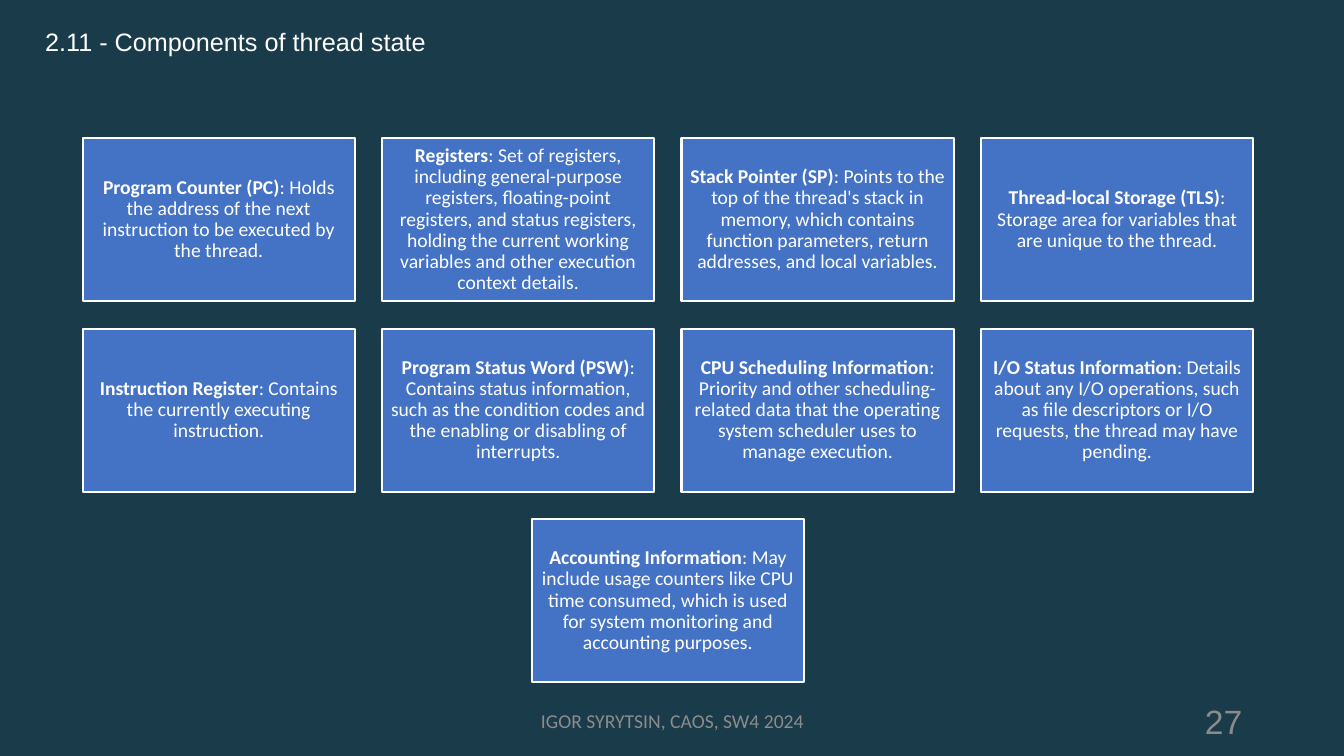
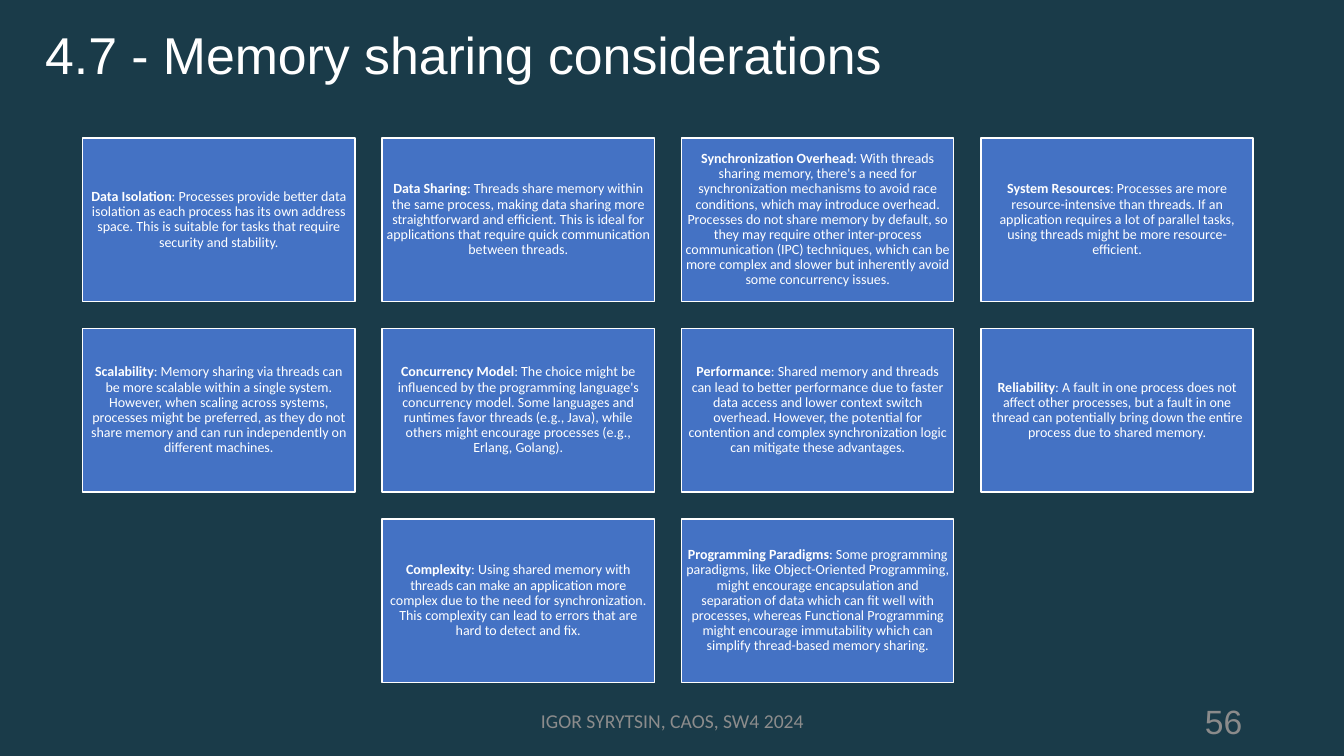
"""Build two slides of centred card grids on thread state and memory sharing."""

from dataclasses import dataclass
from typing import NamedTuple

import pptx
import pptx.dml.color
import pptx.enum.shapes
import pptx.enum.text
import pptx.presentation
import pptx.slide
import pptx.text.text
import pptx.util

Inches = pptx.util.Inches
Pt = pptx.util.Pt
RGBColor = pptx.dml.color.RGBColor
PP_ALIGN = pptx.enum.text.PP_ALIGN
MSO_ANCHOR = pptx.enum.text.MSO_ANCHOR

NAVY = RGBColor(0x1A, 0x3B, 0x49)
BLUE = RGBColor(0x44, 0x72, 0xC4)
WHITE = RGBColor(0xFF, 0xFF, 0xFF)
NUMBER_GREY = RGBColor(0x8B, 0x8B, 0x8B)
FOOTER_GREY = RGBColor(0x8C, 0x8C, 0x8C)

HEAD_FONT = "Arial"
BODY_FONT = "Calibri"
FOOTER = "IGOR SYRYTSIN, CAOS, SW4 2024"

COLUMNS = 4
CARD_W = 2.7
CARD_H = 1.62
GAP = 0.27
GRID_LEFT = 0.82
GRID_TOP = 1.37
LINE_SPACING = 0.9


class Card(NamedTuple):
    term: str
    detail: str


class Box(NamedTuple):
    left: float
    top: float
    width: float
    height: float


class TextStyle(NamedTuple):
    font: str
    size: float
    color: RGBColor
    align: PP_ALIGN = PP_ALIGN.LEFT
    anchor: MSO_ANCHOR = MSO_ANCHOR.MIDDLE
    spacing: float = 1.0


@dataclass(frozen=True)
class GridSlide:
    title: str
    title_size: float
    number: int
    card_size: float
    card_inset: float
    card_line: float
    cards: list[Card]


TITLE_BOX = Box(0.35, 0.25, 11.5, 0.68)
NUMBER_BOX = Box(9.42, 6.95, 3, 0.4)
FOOTER_BOX = Box(4.42, 6.95, 4.5, 0.4)
NUMBER_STYLE = TextStyle(HEAD_FONT, 24, NUMBER_GREY, PP_ALIGN.RIGHT)
FOOTER_STYLE = TextStyle(BODY_FONT, 14, FOOTER_GREY, PP_ALIGN.CENTER)

SLIDES = [
    GridSlide("2.11 - Components of thread state", 18, 27, 14, 0.06, 1.5, [
        Card("Program Counter (PC)",
             ": Holds the address of the next instruction to be executed by the thread."),
        Card("Registers",
             ": Set of registers, including general-purpose registers, floating-point registers, "
             "and status registers, holding the current working variables and other execution "
             "context details."),
        Card("Stack Pointer (SP)",
             ": Points to the top of the thread's stack in memory, which contains function "
             "parameters, return addresses, and local variables."),
        Card("Thread-local Storage (TLS)",
             ": Storage area for variables that are unique to the thread."),
        Card("Instruction Register",
             ": Contains the currently executing instruction."),
        Card("Program Status Word (PSW)",
             ": Contains status information, such as the condition codes and the enabling or "
             "disabling of interrupts."),
        Card("CPU Scheduling Information",
             ": Priority and other scheduling-related data that the operating system scheduler "
             "uses to manage execution."),
        Card("I/O Status Information",
             ": Details about any I/O operations, such as file descriptors or I/O requests, the "
             "thread may have pending."),
        Card("Accounting Information",
             ": May include usage counters like CPU time consumed, which is used for system "
             "monitoring and accounting purposes."),
    ]),
    GridSlide("4.7 - Memory sharing considerations", 37, 56, 10, 0.04, 1, [
        Card("Data Isolation",
             ": Processes provide better data isolation as each process has its own address "
             "space. This is suitable for tasks that require security and stability."),
        Card("Data Sharing",
             ": Threads share memory within the same process, making data sharing more "
             "straightforward and efficient. This is ideal for applications that require quick "
             "communication between threads."),
        Card("Synchronization Overhead",
             ": With threads sharing memory, there's a need for synchronization mechanisms to "
             "avoid race conditions, which may introduce overhead. Processes do not share memory "
             "by default, so they may require other inter-process communication (IPC) techniques, "
             "which can be more complex and slower but inherently avoid some concurrency issues."),
        Card("System Resources",
             ": Processes are more resource-intensive than threads. If an application requires a "
             "lot of parallel tasks, using threads might be more resource-efficient."),
        Card("Scalability",
             ": Memory sharing via threads can be more scalable within a single system. However, "
             "when scaling across systems, processes might be preferred, as they do not share "
             "memory and can run independently on different machines."),
        Card("Concurrency Model",
             ": The choice might be influenced by the programming language's concurrency model. "
             "Some languages and runtimes favor threads (e.g., Java), while others might "
             "encourage processes (e.g., Erlang, Golang)."),
        Card("Performance",
             ": Shared memory and threads can lead to better performance due to faster data "
             "access and lower context switch overhead. However, the potential for contention "
             "and complex synchronization logic can mitigate these advantages."),
        Card("Reliability",
             ": A fault in one process does not affect other processes, but a fault in one thread "
             "can potentially bring down the entire process due to shared memory."),
        Card("Complexity",
             ": Using shared memory with threads can make an application more complex due to the "
             "need for synchronization. This complexity can lead to errors that are hard to "
             "detect and fix."),
        Card("Programming Paradigms",
             ": Some programming paradigms, like Object-Oriented Programming, might encourage "
             "encapsulation and separation of data which can fit well with processes, whereas "
             "Functional Programming might encourage immutability which can simplify "
             "thread-based memory sharing."),
    ]),
]


def format_text(tf: pptx.text.text.TextFrame, style: TextStyle) -> None:
    tf.word_wrap = True
    tf.vertical_anchor = style.anchor
    for p in tf.paragraphs:
        p.alignment = style.align
        p.line_spacing = style.spacing
        for r in p.runs:
            r.font.name = style.font
            r.font.size = Pt(style.size)
            r.font.color.rgb = style.color


def add_text(s: pptx.slide.Slide, box: Box, text: str, style: TextStyle) -> None:
    tf = s.shapes.add_textbox(*map(Inches, box)).text_frame
    tf.text = text
    format_text(tf, style)


def add_card(s: pptx.slide.Slide, box: Box, card: Card, page: GridSlide) -> None:
    sp = s.shapes.add_shape(pptx.enum.shapes.MSO_SHAPE.RECTANGLE, *map(Inches, box))
    sp.shadow.inherit = False
    sp.fill.solid()
    sp.fill.fore_color.rgb = BLUE
    sp.line.color.rgb = WHITE
    sp.line.width = Pt(page.card_line)
    tf = sp.text_frame
    inset = Inches(page.card_inset)
    tf.margin_left = tf.margin_top = tf.margin_right = tf.margin_bottom = inset
    p = tf.paragraphs[0]
    p.text = card.term
    p.runs[0].font.bold = True
    p.add_run().text = card.detail
    format_text(tf, TextStyle(BODY_FONT, page.card_size, WHITE, PP_ALIGN.CENTER,
                              spacing=LINE_SPACING))


def add_grid(s: pptx.slide.Slide, page: GridSlide) -> None:
    for row, start in enumerate(range(0, len(page.cards), COLUMNS)):
        cards = page.cards[start:start + COLUMNS]
        indent = (COLUMNS - len(cards)) / 2
        for column, card in enumerate(cards):
            left = GRID_LEFT + (indent + column) * (CARD_W + GAP)
            top = GRID_TOP + row * (CARD_H + GAP)
            add_card(s, Box(left, top, CARD_W, CARD_H), card, page)


def add_slide(prs: pptx.presentation.Presentation, page: GridSlide) -> None:
    s = prs.slides.add_slide(prs.slide_layouts[6])
    add_text(s, NUMBER_BOX, str(page.number), NUMBER_STYLE)
    add_text(s, TITLE_BOX, page.title,
             TextStyle(HEAD_FONT, page.title_size, WHITE, anchor=MSO_ANCHOR.TOP,
                       spacing=LINE_SPACING))
    add_grid(s, page)
    add_text(s, FOOTER_BOX, FOOTER, FOOTER_STYLE)


def main() -> None:
    prs = pptx.Presentation()
    prs.slide_width = Inches(13.33)
    prs.slide_height = Inches(7.5)
    background = prs.slide_master.background.fill
    background.solid()
    background.fore_color.rgb = NAVY
    for page in SLIDES:
        add_slide(prs, page)
    prs.save("out.pptx")


if __name__ == "__main__":
    main()
